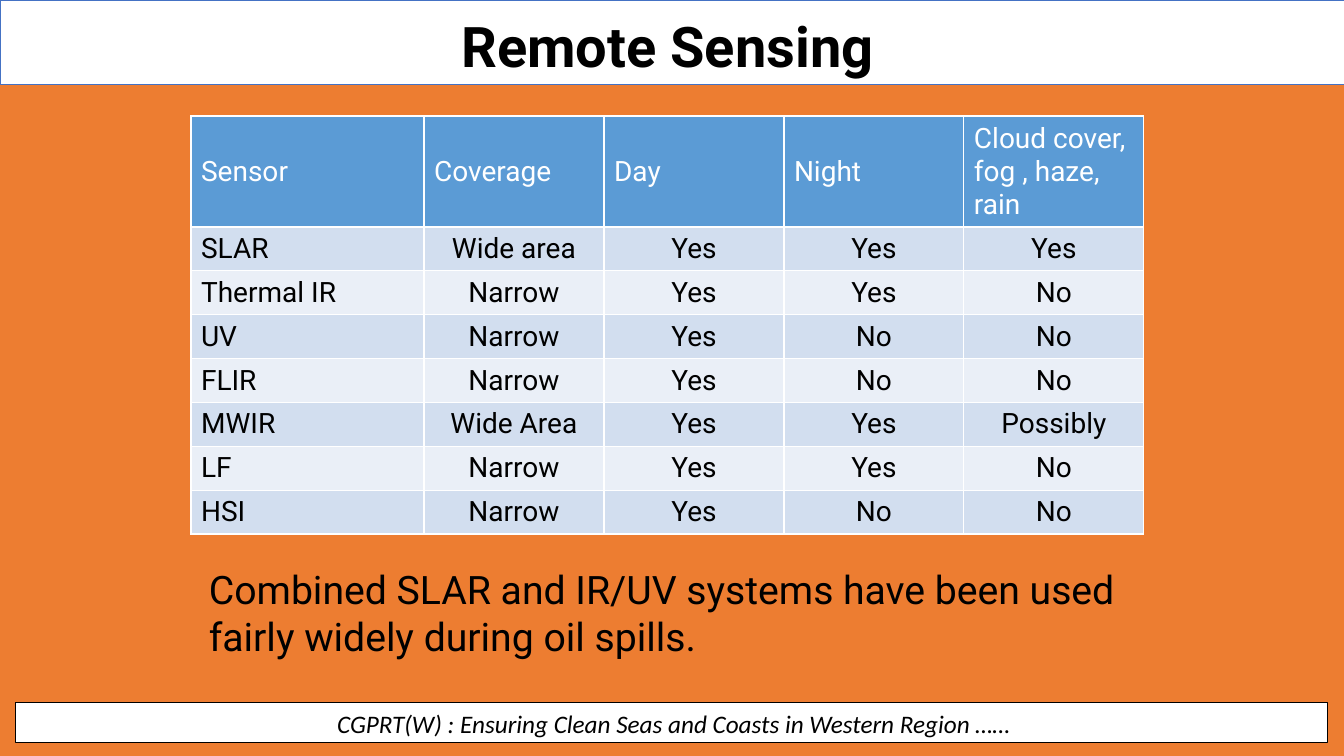
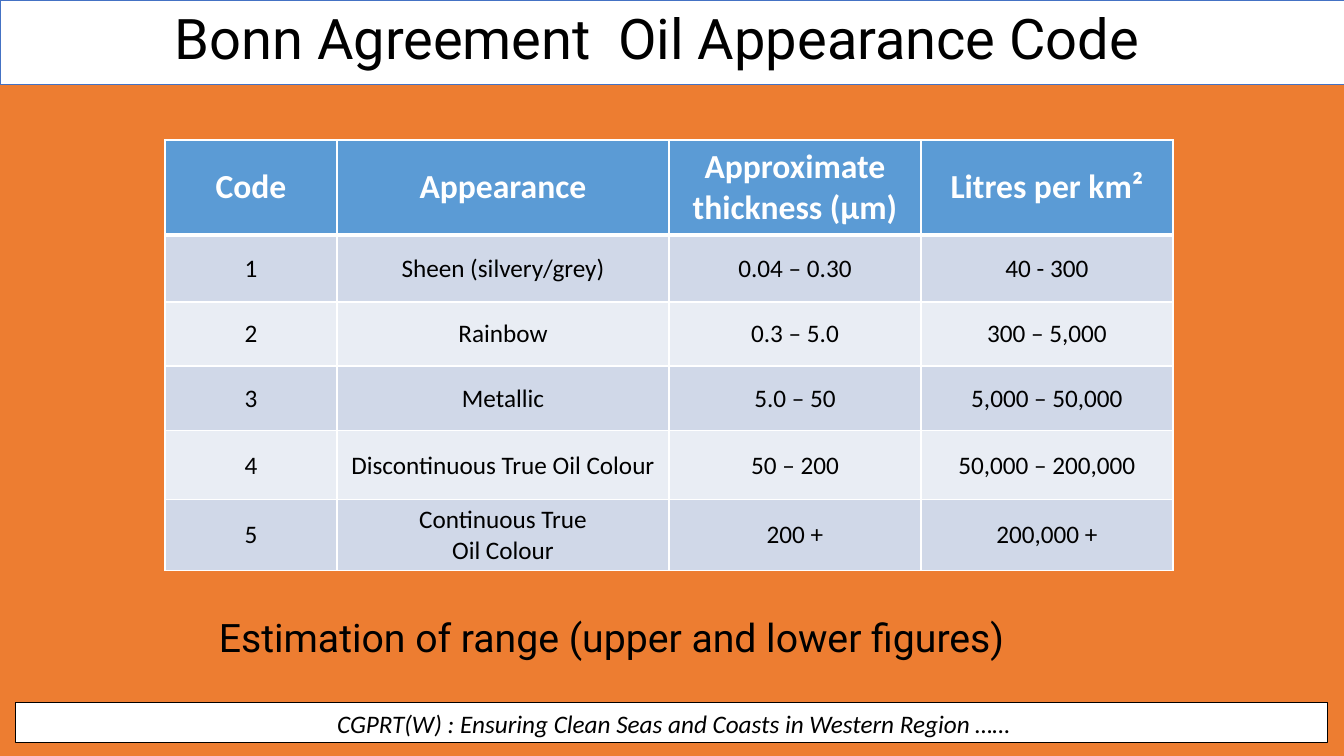
from lxml.etree import SubElement
from pptx import Presentation
from pptx.dml.color import RGBColor
from pptx.enum.shapes import MSO_SHAPE
from pptx.enum.text import MSO_ANCHOR, PP_ALIGN
from pptx.oxml.ns import qn
from pptx.util import Emu, Pt

COLORS = {"orange": "ED7D31", "white": "FFFFFF", "black": "000000",
          "band_line": "4472C4", "header": "5B9BD5"}
LEFT, CENTER = PP_ALIGN.LEFT, PP_ALIGN.CENTER
PX = 914400 / 100.8
SIZE = (1344, 756)
BAND = (0, 0, 1344, 84)
FOOTER_BOX = (16, 703, 1312, 40)
FOOTER = "CGPRT(W) : Ensuring Clean Seas and Coasts in Western Region ……"

TITLE_FONT = {"name": "Roboto", "size": 40, "color": "black"}
NOTE_FONT = {"name": "Roboto", "size": 28, "color": "black"}
FOOTER_FONT = {"name": "Calibri", "size": 18, "italic": True, "color": "black"}

SLIDES = [
    {
        "title": "Remote Sensing",
        "title_box": (214, 14, 907, 62),
        "title_font": {**TITLE_FONT, "bold": True},
        "title_align": CENTER,
        "note": "Combined SLAR and IR/UV systems have been used "
                "fairly widely during oil spills.",
        "note_box": (199, 560, 936, 105),
        "table": {
            "at": (191, 116),
            "cols": [233] + [180] * 4,
            "rows": [111, 43] + [44, 44, 43] * 2,
            "bands": ["D2DEEF", "EAEFF7"],
            "header_font": {"name": "Roboto", "size": 20, "bold": False, "color": "white"},
            "body_font": {"name": "Roboto", "size": 20, "bold": False, "color": "black"},
            "header_align": LEFT,
            "label_align": LEFT,
            "header_rule": 1,
            "cells": [
                ("Sensor", "Coverage", "Day", "Night", "Cloud cover, fog , haze, rain"),
                ("SLAR", "Wide area", "Yes", "Yes", "Yes"),
                ("Thermal IR", "Narrow", "Yes", "Yes", "No"),
                ("UV", "Narrow", "Yes", "No", "No"),
                ("FLIR", "Narrow", "Yes", "No", "No"),
                ("MWIR", "Wide Area", "Yes", "Yes", "Possibly"),
                ("LF", "Narrow", "Yes", "Yes", "No"),
                ("HSI", "Narrow", "Yes", "No", "No"),
            ],
        },
    },
    {
        "title": "Bonn Agreement  Oil Appearance Code",
        "title_box": (165, 6, 1008, 62),
        "title_font": TITLE_FONT,
        "title_align": LEFT,
        "note": "Estimation of range (upper and lower figures)",
        "note_box": (209, 608, 896, 57),
        "table": {
            "at": (165, 140),
            "cols": [172, 332, 252, 252],
            "rows": [95, 67, 64, 65, 69, 70],
            "bands": ["D0D8E8", "E9EDF4"],
            "header_font": {"name": "Calibri", "size": 24, "bold": True, "color": "white"},
            "body_font": {"name": "Calibri", "size": 18, "bold": False, "color": "black"},
            "header_align": CENTER,
            "label_align": CENTER,
            "header_rule": 3,
            "cells": [
                ("Code", "Appearance", "Approximate\nthickness (μm)", "Litres per km²"),
                ("1", "Sheen (silvery/grey)", "0.04 – 0.30", "40 - 300"),
                ("2", "Rainbow", "0.3 – 5.0", "300 – 5,000"),
                ("3", "Metallic", "5.0 – 50", "5,000 – 50,000"),
                ("4", "Discontinuous True Oil Colour", "50 – 200", "50,000 – 200,000"),
                ("5", "Continuous True\nOil Colour", "200 +", "200,000 +"),
            ],
        },
    },
]


def px(n):
    return Emu(round(n * PX))


def box(values):
    return [px(v) for v in values]


def rgb(name):
    return RGBColor.from_string(COLORS.get(name, name))


def write(tf, text, font, align=LEFT, spacing=None):
    tf.text = text
    tf.word_wrap = True
    for p in tf.paragraphs:
        p.alignment = align
        p.line_spacing = spacing
        for r in p.runs:
            for key, value in font.items():
                if key == "color":
                    r.font.color.rgb = rgb(value)
                else:
                    setattr(r.font, key, Pt(value) if key == "size" else value)


def add_text(s, at, *args):
    write(s.shapes.add_textbox(*box(at)).text_frame, *args)


def add_panel(s, at, line, width):
    sp = s.shapes.add_shape(MSO_SHAPE.RECTANGLE, *box(at))
    sp.shadow.inherit = False
    sp.fill.solid()
    sp.fill.fore_color.rgb = rgb("white")
    sp.line.color.rgb = rgb(line)
    sp.line.width = Pt(width)
    return sp


def set_borders(cell, top, bottom):
    tc_pr = cell._tc.get_or_add_tcPr()
    for side, width in (("L", 1), ("R", 1), ("T", top), ("B", bottom)):
        ln = SubElement(tc_pr, qn(f"a:ln{side}"), w=str(Pt(width)))
        fill = SubElement(ln, qn("a:solidFill"))
        SubElement(fill, qn("a:srgbClr"), val=COLORS["white"])


def add_grid(s, t):
    cols, rows = t["cols"], t["rows"]
    at = (*t["at"], sum(cols), sum(rows))
    table = s.shapes.add_table(len(rows), len(cols), *box(at)).table
    table.first_row = table.horz_banding = False
    for col, width in zip(table.columns, cols):
        col.width = px(width)
    for i, (row, height, texts) in enumerate(zip(table.rows, rows, t["cells"])):
        row.height = px(height)
        head = i == 0
        font = t["header_font"] if head else t["body_font"]
        fill = "header" if head else t["bands"][(i - 1) % 2]
        top = t["header_rule"] if i == 1 else 1
        bottom = t["header_rule"] if head else 1
        for j, (cell, text) in enumerate(zip(row.cells, texts)):
            align = t["header_align"] if head else CENTER if j else t["label_align"]
            write(cell.text_frame, text, font, align)
            cell.vertical_anchor = MSO_ANCHOR.MIDDLE
            set_borders(cell, top, bottom)
            cell.fill.solid()
            cell.fill.fore_color.rgb = rgb(fill)


def add_slide(prs, content):
    s = prs.slides.add_slide(prs.slide_layouts[6])
    footer = add_panel(s, FOOTER_BOX, "black", 0.75)
    footer.text_frame.margin_left = px(14)
    footer.text_frame.vertical_anchor = MSO_ANCHOR.MIDDLE
    write(footer.text_frame, FOOTER, FOOTER_FONT, CENTER)
    add_panel(s, BAND, "band_line", 0.5)
    add_text(s, content["title_box"], content["title"], content["title_font"],
             content["title_align"], 0.9)
    add_grid(s, content["table"])
    add_text(s, content["note_box"], content["note"], NOTE_FONT)


def main():
    prs = Presentation()
    prs.slide_width, prs.slide_height = box(SIZE)
    background = prs.slide_master.background.fill
    background.solid()
    background.fore_color.rgb = rgb("orange")
    for content in SLIDES:
        add_slide(prs, content)
    prs.save("out.pptx")


if __name__ == "__main__":
    main()
